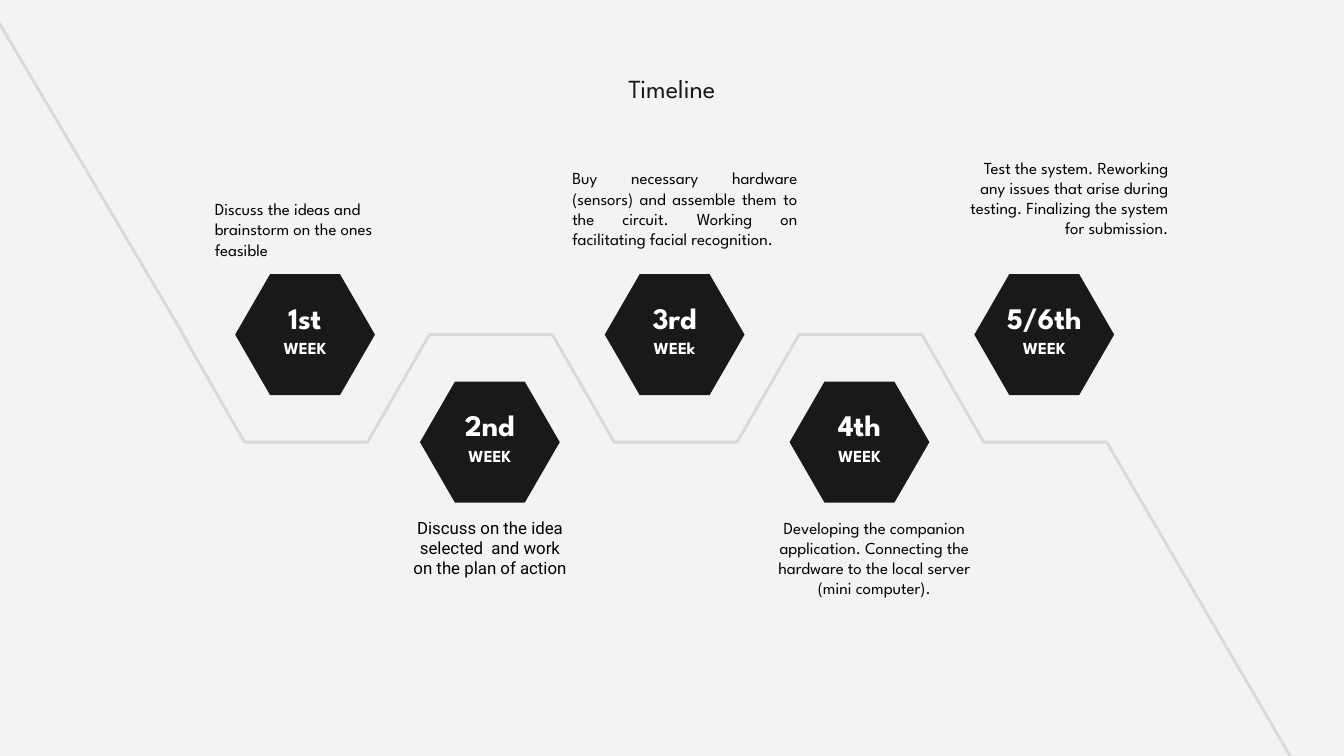
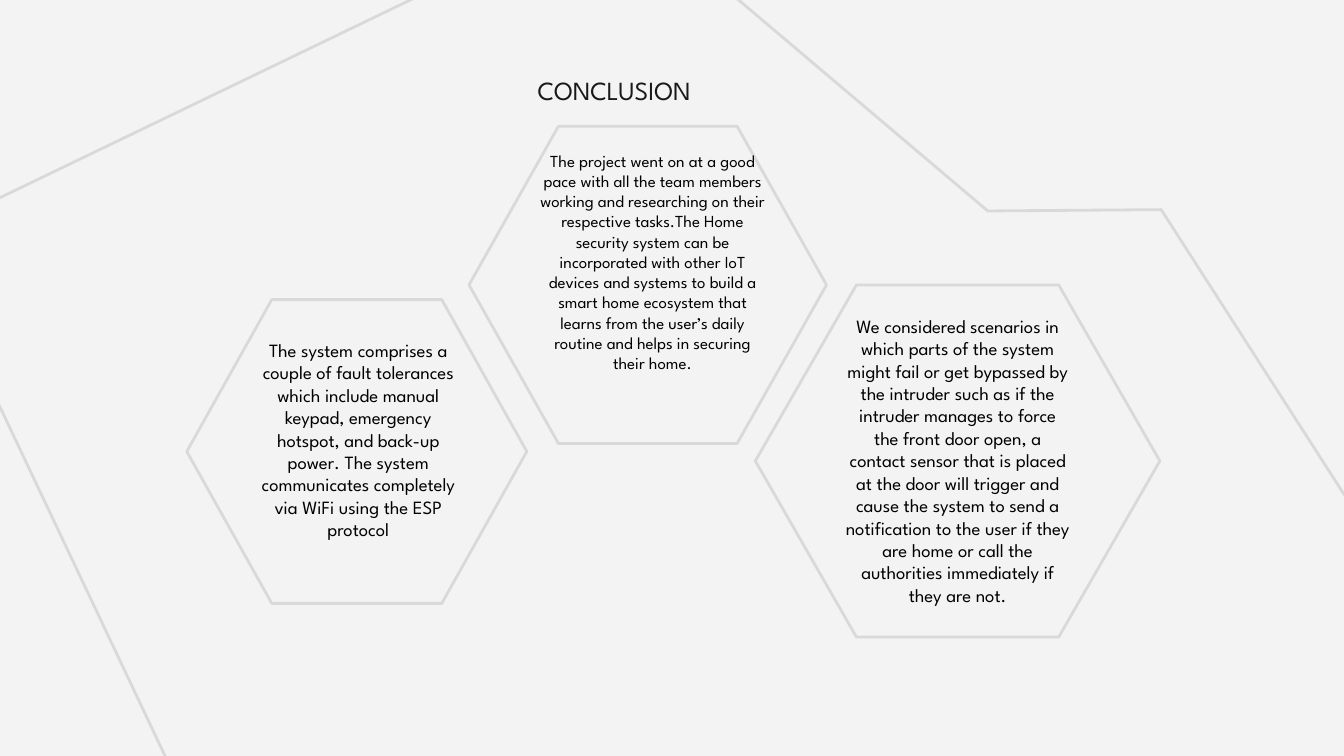
import lxml.etree
import pptx
import pptx.dml.color
import pptx.enum.shapes
import pptx.enum.text
import pptx.oxml.ns
import pptx.util

BACKGROUND = pptx.dml.color.RGBColor(0xF3, 0xF3, 0xF3)
INK = pptx.dml.color.RGBColor(0x19, 0x19, 0x19)
TRACK = pptx.dml.color.RGBColor(0xD9, 0xD9, 0xD9)
WHITE = pptx.dml.color.RGBColor(0xFF, 0xFF, 0xFF)
BLACK = pptx.dml.color.RGBColor(0x00, 0x00, 0x00)
FONT = "League Spartan"
ALIGN = pptx.enum.text.PP_ALIGN

COLUMNS, ROWS = 100, 56.25
SLIDE_WIDTH = pptx.util.Inches(10)
SLIDE_HEIGHT = pptx.util.Inches(5.625)
INSET = pptx.util.Inches(0.1)

WEEK_STEP = 13.75
HEXAGON_WIDTH, HEXAGON_HEIGHT = 10.4, 9
WEEKS_LEFT, UPPER_ROW, LOWER_ROW = 17.5, 20.4, 28.4
TRACK_LEFT, TRACK_FLAT = 18.2, 9.15
TRACK_HIGH, TRACK_LOW = 24.9, 32.9

WEEKS = [
    ("1st", "WEEK", "Discuss the ideas and brainstorm on the ones feasible",
     (-2.5, -6.6, 15.3, 6.6), ALIGN.LEFT, FONT),
    ("2nd", "WEEK", "Discuss on the idea selected  and work on the plan of action",
     (-1.55, 9.1, 13.5, 6.6), ALIGN.CENTER, "Roboto"),
    ("3rd", "WEEk", "Buy necessary hardware (sensors) and assemble them to the "
     "circuit. Working on facilitating facial recognition.",
     (-3.4, -8.9, 18.7, 7.5), ALIGN.JUSTIFY, FONT),
    ("4th", "WEEK", "Developing the companion application. Connecting the "
     "hardware to the local server (mini computer).",
     (-3.05, 9.1, 18.7, 6.6), ALIGN.CENTER, FONT),
    ("5/6th", "WEEK", "Test the system. Reworking any issues that arise during "
     "testing. Finalizing the system for submission.",
     (-1.8, -9.7, 17.2, 8.1), ALIGN.RIGHT, FONT),
]

FINDINGS = [
    ((34.9, 9.4, 26.6, 23.6), (4.3, 0.8, 18.7, 21.1), 9,
     "The project went on at a good pace with all the team members working and "
     "researching on their respective tasks.The Home security system can be "
     "incorporated with other IoT devices and systems to build a smart home "
     "ecosystem that learns from the user’s daily routine and helps in securing "
     "their home."),
    ((13.9, 22.3, 25.3, 22.6), (4, 1.9, 17.5, 18), 10,
     "The system comprises a couple of fault tolerances which include manual "
     "keypad, emergency hotspot, and back-up power. The system communicates "
     "completely via WiFi using the ESP protocol"),
    ((56.2, 21.2, 30.1, 26.2), (5.7, 1.2, 18.7, 21.1), 10,
     "We considered scenarios in which parts of the system might fail or get "
     "bypassed by the intruder such as if the intruder manages to force the "
     "front door open, a contact sensor that is placed at the door will trigger "
     "and cause the system to send a notification to the user if they are home "
     "or call the authorities immediately if they are not."),
]

BACKDROP = [(110.8, 53.6), (86.4, 15.6), (73.5, 15.7),
            (46.1, -7.5), (-6, 17.6), (23.8, 80.6)]


def across(columns):
    return round(SLIDE_WIDTH * columns / COLUMNS)


def down(rows):
    return round(SLIDE_HEIGHT * rows / ROWS)


def inside(box, offset):
    return box[0] + offset[0], box[1] + offset[1], offset[2], offset[3]


def add_text(slide, text, box, *, size=9, color=BLACK, font=FONT,
             bold=False, align=ALIGN.CENTER):
    left, top, width, height = box
    frame = slide.shapes.add_textbox(
        across(left), down(top), across(width), down(height)).text_frame
    frame.word_wrap = True
    frame.margin_left = frame.margin_right = INSET
    frame.margin_top = frame.margin_bottom = INSET
    paragraph = frame.paragraphs[0]
    paragraph.alignment = align
    run = paragraph.add_run()
    run.text = text
    run.font.size = pptx.util.Pt(size)
    run.font.name = font
    run.font.bold = bold
    run.font.color.rgb = color


def add_outline(slide, points, *, fill=None, close=True):
    corners = [(across(x), down(y)) for x, y in points]
    builder = slide.shapes.build_freeform(*corners[0])
    builder.add_line_segments(corners[1:], close=close)
    outline = builder.convert_to_shape()
    outline.shadow.inherit = False
    if fill is None:
        outline.fill.background()
        outline.line.color.rgb = TRACK
        outline.line.width = pptx.util.Pt(1.5)
    else:
        outline.fill.solid()
        outline.fill.fore_color.rgb = fill
        outline.line.fill.background()


def add_hexagon(slide, box, fill=None):
    left, top, width, height = box
    right, bottom, middle = left + width, top + height, top + height / 2
    slant = width / 4
    add_outline(slide, [(left + slant, top), (left, middle),
                        (left + slant, bottom), (right - slant, bottom),
                        (right, middle), (right - slant, top)], fill=fill)


def add_track_end(slide, start, end):
    track_end = slide.shapes.add_connector(
        pptx.enum.shapes.MSO_CONNECTOR.STRAIGHT,
        across(start[0]), down(start[1]), across(end[0]), down(end[1]))
    track_end.line.color.rgb = TRACK
    track_end.line.width = pptx.util.Pt(1.5)
    lxml.etree.SubElement(track_end._element.spPr,
                          pptx.oxml.ns.qn("a:effectLst"))


def add_track(slide):
    points = [(13.6, TRACK_HIGH)]
    for step in range(len(WEEKS)):
        level = TRACK_HIGH if step % 2 else TRACK_LOW
        start = TRACK_LEFT + step * WEEK_STEP
        points += [(start, level), (start + TRACK_FLAT, level)]
    add_outline(slide, points, close=False)
    add_track_end(slide, (14, 25.5), (-0.6, 0.8))
    add_track_end(slide, (96.2, 56.6), points[-1])


def add_week(slide, box, week):
    ordinal, label, task, task_offset, align, font = week
    add_hexagon(slide, box, fill=INK)
    add_text(slide, ordinal, inside(box, (0, 0.9, HEXAGON_WIDTH, 4)),
             size=16, color=WHITE, bold=True)
    add_text(slide, label, inside(box, (-0.85, 4, 12.1, 4)),
             color=WHITE, bold=True)
    add_text(slide, task, inside(box, task_offset), align=align, font=font)


def add_finding(slide, box, text_offset, size, text):
    add_hexagon(slide, box)
    add_text(slide, text, inside(box, text_offset), size=size)


def add_titled_slide(deck, title, box):
    slide = deck.slides.add_slide(deck.slide_layouts[6])
    slide.background.fill.solid()
    slide.background.fill.fore_color.rgb = BACKGROUND
    add_text(slide, title, box, size=14, color=INK)
    return slide


def build_timeline(deck):
    slide = add_titled_slide(deck, "Timeline", (33.7, 4.4, 32.6, 7.5))
    add_track(slide)
    for position, week in enumerate(WEEKS):
        top = LOWER_ROW if position % 2 else UPPER_ROW
        left = WEEKS_LEFT + position * WEEK_STEP
        add_week(slide, (left, top, HEXAGON_WIDTH, HEXAGON_HEIGHT), week)


def build_conclusion(deck):
    slide = add_titled_slide(deck, "CONCLUSION", (17.3, 4.5, 56.8, 7.5))
    add_outline(slide, BACKDROP)
    for finding in FINDINGS:
        add_finding(slide, *finding)


def main():
    deck = pptx.Presentation()
    deck.slide_width = SLIDE_WIDTH
    deck.slide_height = SLIDE_HEIGHT
    build_timeline(deck)
    build_conclusion(deck)
    deck.save("out.pptx")


if __name__ == "__main__":
    main()
